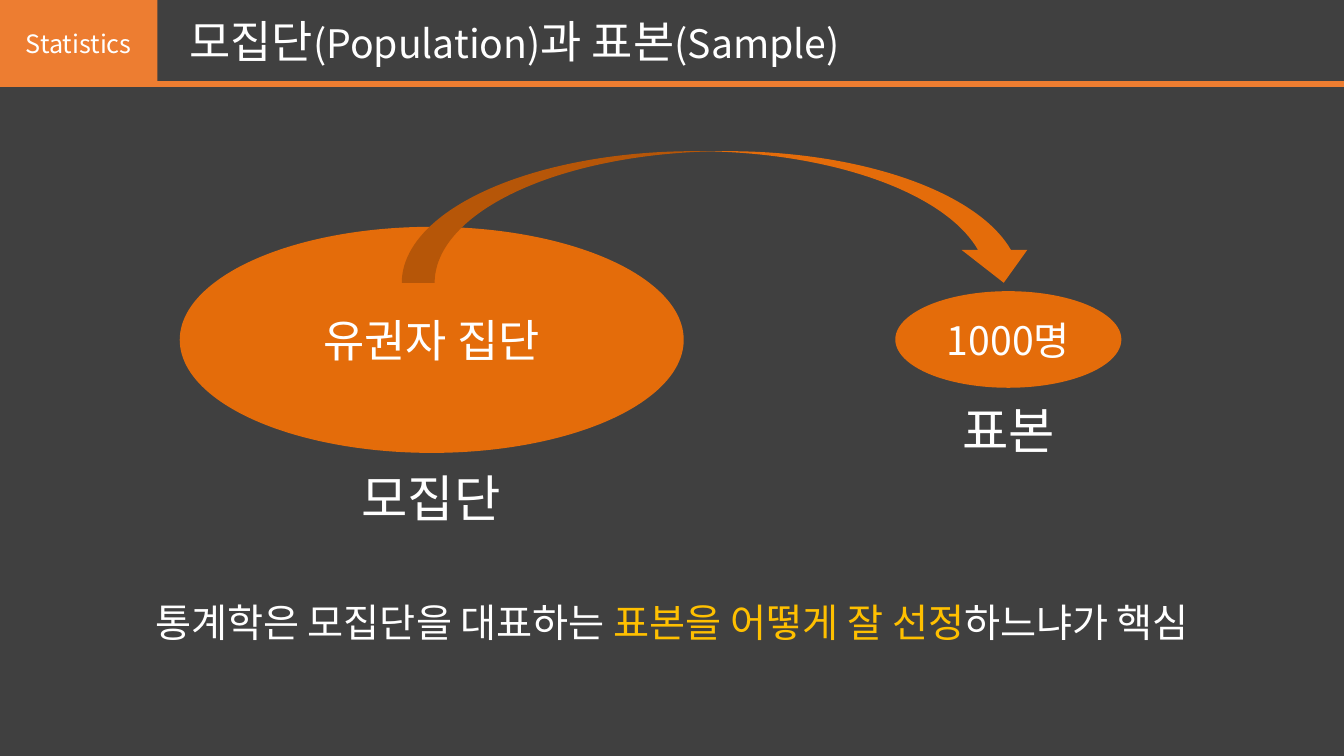
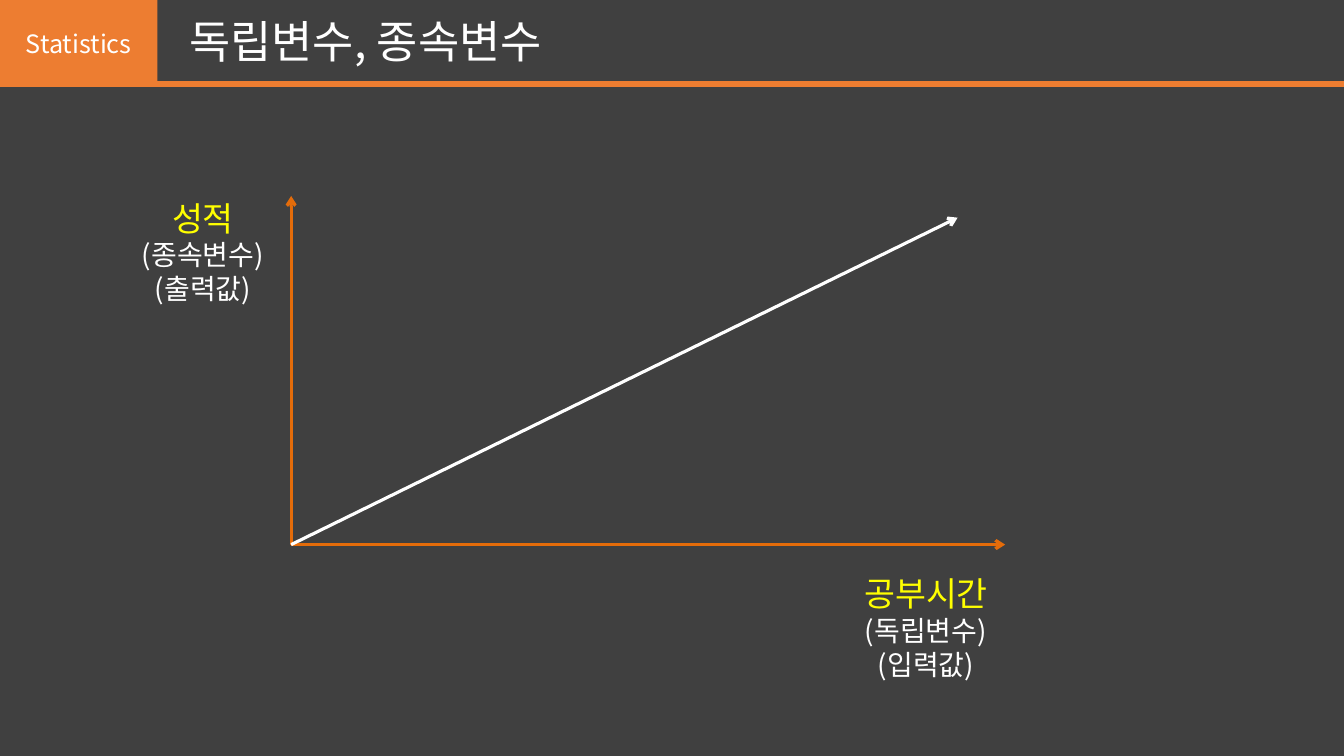
from lxml import etree
from pptx import Presentation
from pptx.dml.color import RGBColor
from pptx.enum.shapes import MSO_CONNECTOR, MSO_SHAPE
from pptx.enum.text import MSO_ANCHOR, MSO_AUTO_SIZE, PP_ALIGN
from pptx.oxml.ns import qn
from pptx.util import Pt

RECT, OVAL, ARC = MSO_SHAPE.RECTANGLE, MSO_SHAPE.OVAL, MSO_SHAPE.CURVED_DOWN_ARROW
STRAIGHT = MSO_CONNECTOR.STRAIGHT
TOP, MIDDLE = MSO_ANCHOR.TOP, MSO_ANCHOR.MIDDLE
LEFT, CENTER = PP_ALIGN.LEFT, PP_ALIGN.CENTER

FONT = "Noto Sans CJK KR"
DARK, BAND, ORANGE = "404040", "ED7D31", "E46C0A"
WHITE, GOLD, YELLOW = "FFFFFF", "FFC000", "FFFF00"
rgb = RGBColor.from_string


def write(shape, paragraphs, align=CENTER, anchor=TOP):
    """Fill a shape with paragraphs, each a list of (text, size, colour) runs."""
    tf = shape.text_frame
    frame_format = {"word_wrap": True, "auto_size": MSO_AUTO_SIZE.NONE,
                    "vertical_anchor": anchor}
    for name, value in frame_format.items():
        setattr(tf, name, value)
    for i, runs in enumerate(paragraphs):
        p = tf.add_paragraph() if i else tf.paragraphs[0]
        p.alignment = align
        for text, size, color in runs:
            r = p.add_run()
            r.text = text
            for name, value in {"size": Pt(size), "name": FONT}.items():
                setattr(r.font, name, value)
            r.font.color.rgb = rgb(color)
            etree.SubElement(r.font._element, qn("a:ea"), typeface=FONT)


def add_line(s, x1, y1, x2, y2, color, width, arrow=False):
    line = s.shapes.add_connector(STRAIGHT, Pt(x1), Pt(y1), Pt(x2), Pt(y2))
    line.line.color.rgb = rgb(color)
    line.line.width = Pt(width)
    if arrow:
        etree.SubElement(line.line._get_or_add_ln(), qn("a:tailEnd"), type="arrow")
    etree.SubElement(line._element.spPr, qn("a:effectLst"))


prs = Presentation()
prs.slide_width, prs.slide_height = Pt(960), Pt(540)
fill = prs.slide_master.background.fill
fill.solid()
fill.fore_color.rgb = rgb(DARK)

# Header shared by both slides
titles = [
    [("모집단", 32, WHITE), ("(Population)", 28, WHITE),
     ("과 표본", 32, WHITE), ("(Sample)", 28, WHITE)],
    [("독립변수, 종속변수", 32, WHITE)],
]
slides = []
for title_runs in titles:
    s = prs.slides.add_slide(prs.slide_layouts[5])
    title = s.shapes.title
    title.left, title.top, title.width, title.height = Pt(128), Pt(6), Pt(618), Pt(46)
    write(title, [title_runs], align=LEFT)
    tag = s.shapes.add_shape(RECT, 0, Pt(-0.5), Pt(112.5), Pt(62.5))
    tag.shadow.inherit = False
    tag.fill.solid()
    tag.fill.fore_color.rgb = rgb(BAND)
    tag.line.fill.background()
    write(tag, [[("Statistics", 18, WHITE)]], anchor=MIDDLE)
    add_line(s, 101.5, 60, 960, 60, BAND, 4.5)
    slides.append(s)
population, variables = slides

# Slide 1: population, sample and the arrow between them
for kind, x, y, w, h, runs in [
    (OVAL, 128.4, 162, 360, 161.5, [("유권자 집단", 32, WHITE)]),
    (OVAL, 639.5, 208, 161.5, 69, [("1000명", 28, WHITE)]),
    (ARC, 287, 108, 453.5, 94, []),
]:
    sp = population.shapes.add_shape(kind, Pt(x), Pt(y), Pt(w), Pt(h))
    sp.shadow.inherit = False
    sp.fill.solid()
    sp.fill.fore_color.rgb = rgb(ORANGE)
    sp.line.fill.background()
    if runs:
        write(sp, [runs], anchor=MIDDLE)

# Slide 2: axes and rising line from a common origin
x0, y0 = 208, 389
for x, y, color in [(x0, 140, ORANGE), (718, y0, ORANGE), (684, 155.5, WHITE)]:
    add_line(variables, x0, y0, x, y, color, 2.25, arrow=True)

# Captions on both slides
for s, x, y, w, h, paragraphs in [
    (population, 203, 330, 210, 51, [[("모집단", 36, WHITE)]]),
    (population, 649, 281.5, 143, 51, [[("표본", 36, WHITE)]]),
    (population, 72, 423.5, 816, 41,
     [[("통계학은 모집단을 대표하는 ", 28, WHITE), ("표본을 어떻게 잘 선정", 28, GOLD),
       ("하느냐가 핵심", 28, WHITE)]]),
    (variables, 605, 406, 113, 85,
     [[("공부시간", 24, YELLOW)], [("(독립변수)", 20, WHITE)], [("(입력값)", 20, WHITE)]]),
    (variables, 82.5, 137.5, 125, 85,
     [[("성적", 24, YELLOW)], [("(종속변수)", 20, WHITE)], [("(출력값)", 20, WHITE)]]),
]:
    write(s.shapes.add_textbox(Pt(x), Pt(y), Pt(w), Pt(h)), paragraphs)

prs.save("out.pptx")
